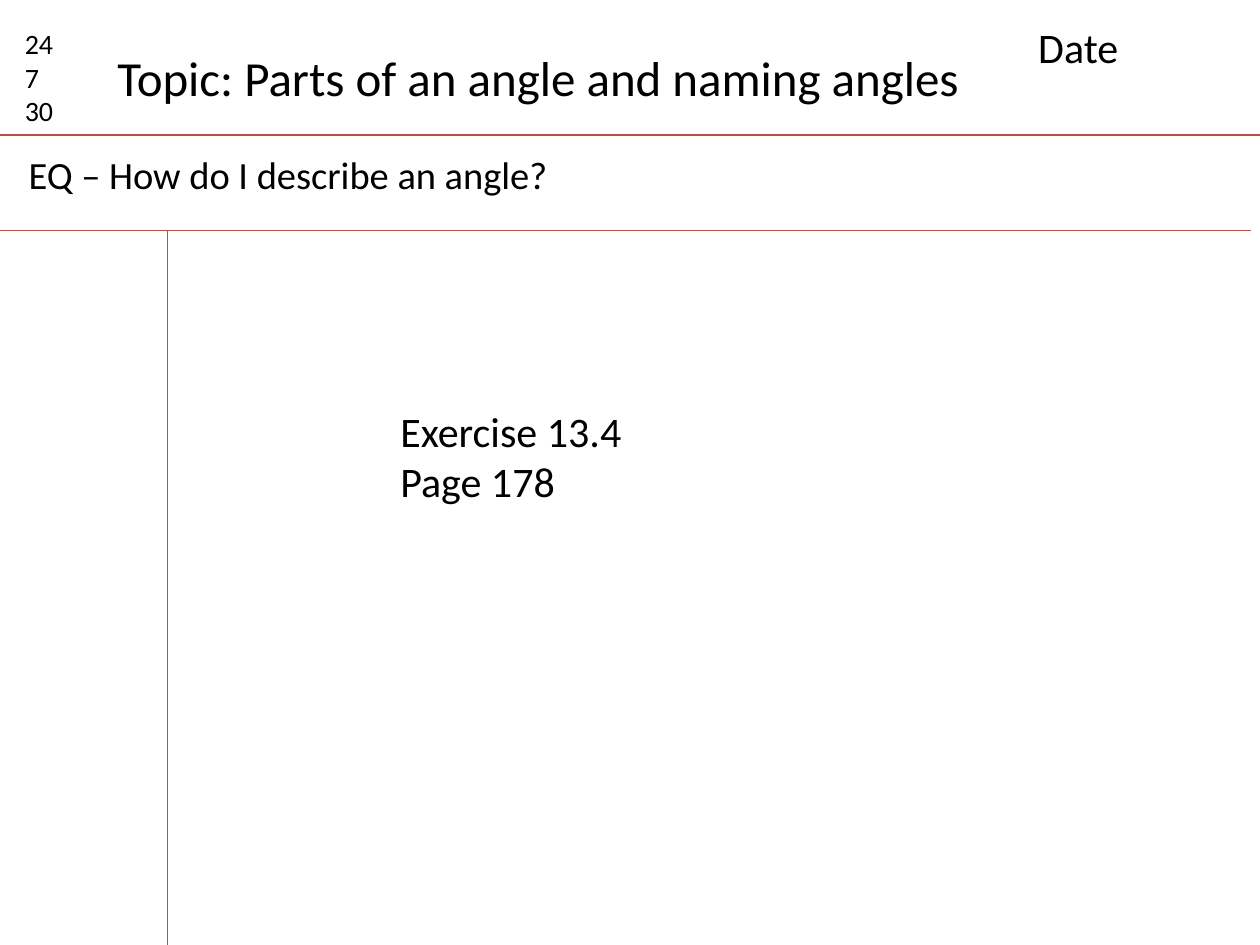
from dataclasses import dataclass
from typing import Any

from lxml.etree import SubElement
from pptx import Presentation
from pptx.dml.color import RGBColor
from pptx.enum.shapes import MSO_CONNECTOR
from pptx.enum.text import MSO_ANCHOR, MSO_AUTO_SIZE, PP_ALIGN
from pptx.oxml.ns import qn
from pptx.util import Cm, Pt


@dataclass(frozen=True)
class Theme:
    face: str = "Calibri"
    ink: RGBColor = RGBColor(0, 0, 0)
    rule: RGBColor = RGBColor(0xBF, 0x4C, 0x48)
    width: float = 0.75
    small: int = 16
    quest: int = 22
    body: int = 24
    topic: int = 28


@dataclass(frozen=True)
class Rule:
    left: float
    top: float
    right: float
    end: float


@dataclass(frozen=True)
class Note:
    lines: tuple[str, ...]
    left: float
    top: float
    width: float
    height: float
    size: int
    wrap: bool = True
    title: bool = False


THEME = Theme()
WIDE, HIGH = 25.4, 19.05
HEAD, BASE, EDGE = 2.72, 4.65, 3.38

RULES = (
    Rule(0, HEAD, WIDE, HEAD),
    Rule(-0.18, BASE, WIDE - 0.18, BASE),
    Rule(EDGE, BASE, EDGE, HIGH),
)
NOTES = (
    Note(("24", "7", "30"), 0.25, 0.41, 1.6, 2.31, THEME.small),
    Note(("Date",), 20.68, 0.3, 4.39, 1.27, THEME.body),
    Note(("EQ – How do I describe an angle?",), 0.33, 2.92, 24.36, 1.19, THEME.quest),
    Note(("Topic: Parts of an angle and naming angles",),
         2.11, 0.84, 17.68, 1.45, THEME.topic, False, True),
    Note(("Exercise 13.4", "Page 178"), 7.82, 8.05, 5.16, 2.31, THEME.body, False),
)


def apply(item: Any, form: dict[str, Any]) -> None:
    for name, value in form.items():
        setattr(item, name, value)


def draw_rule(slide: Any, rule: Rule) -> None:
    line = slide.shapes.add_connector(
        MSO_CONNECTOR.STRAIGHT,
        Cm(rule.left), Cm(rule.top), Cm(rule.right), Cm(rule.end),
    )
    line.line.color.rgb = THEME.rule
    line.line.width = Pt(THEME.width)
    SubElement(line._element.spPr, qn("a:effectLst"))


def draw_note(slide: Any, note: Note) -> None:
    place = {
        "left": Cm(note.left), "top": Cm(note.top),
        "width": Cm(note.width), "height": Cm(note.height),
    }
    if note.title:
        box = slide.shapes.title
        apply(box, place)
    else:
        box = slide.shapes.add_textbox(**place)
    frame = box.text_frame
    frame.text = "\n".join(note.lines)
    apply(frame, {
        "word_wrap": note.wrap,
        "auto_size": MSO_AUTO_SIZE.SHAPE_TO_FIT_TEXT,
        "vertical_anchor": MSO_ANCHOR.TOP,
    })
    for para in frame.paragraphs:
        para.alignment = PP_ALIGN.LEFT
        for run in para.runs:
            apply(run.font, {"name": THEME.face, "size": Pt(note.size)})
            run.font.color.rgb = THEME.ink


def main() -> None:
    deck = Presentation()
    apply(deck, {"slide_width": Cm(WIDE), "slide_height": Cm(HIGH)})
    slide = deck.slides.add_slide(deck.slide_layouts.get_by_name("Title Only"))
    for rule in RULES:
        draw_rule(slide, rule)
    for note in NOTES:
        draw_note(slide, note)
    deck.save("out.pptx")


if __name__ == "__main__":
    main()
